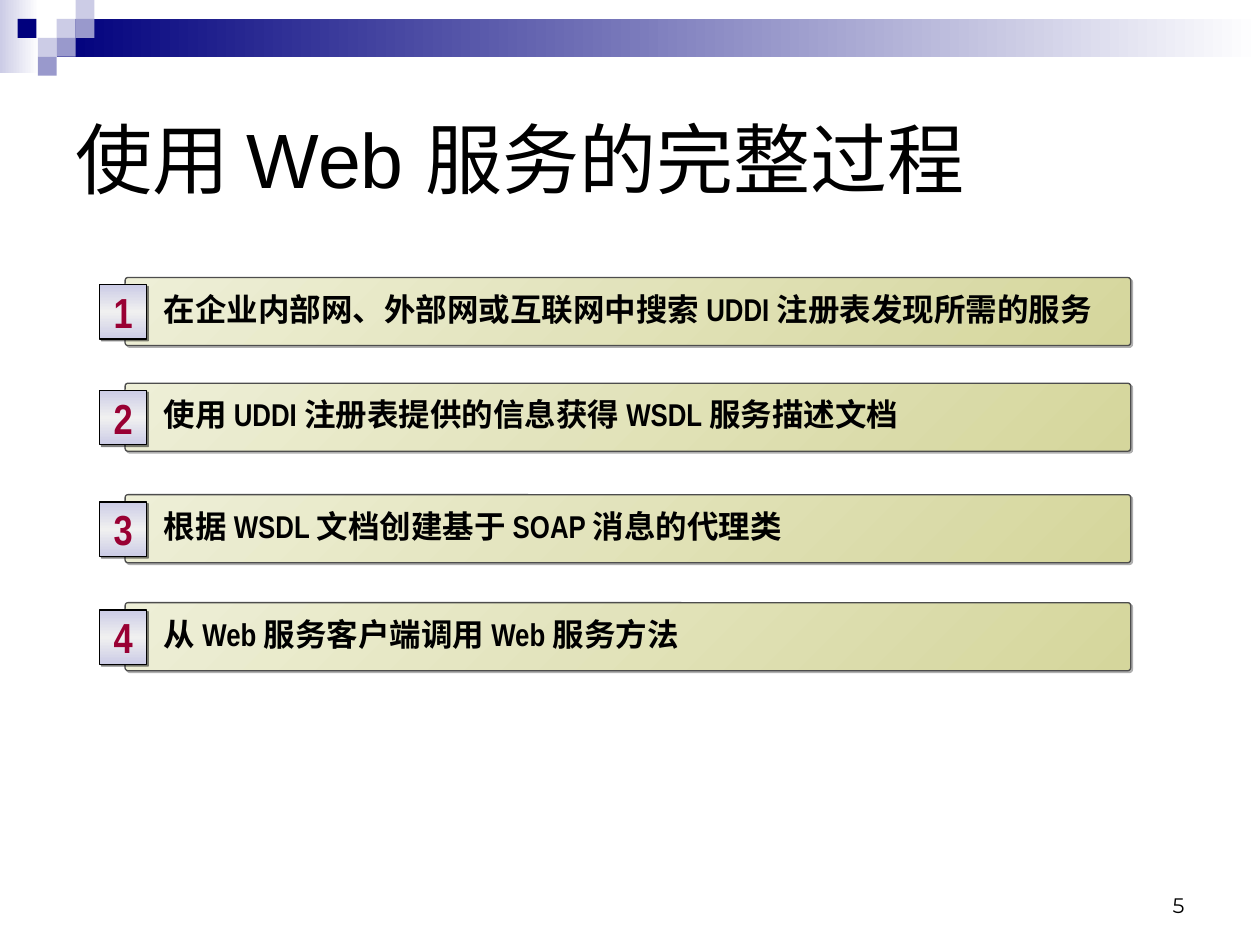
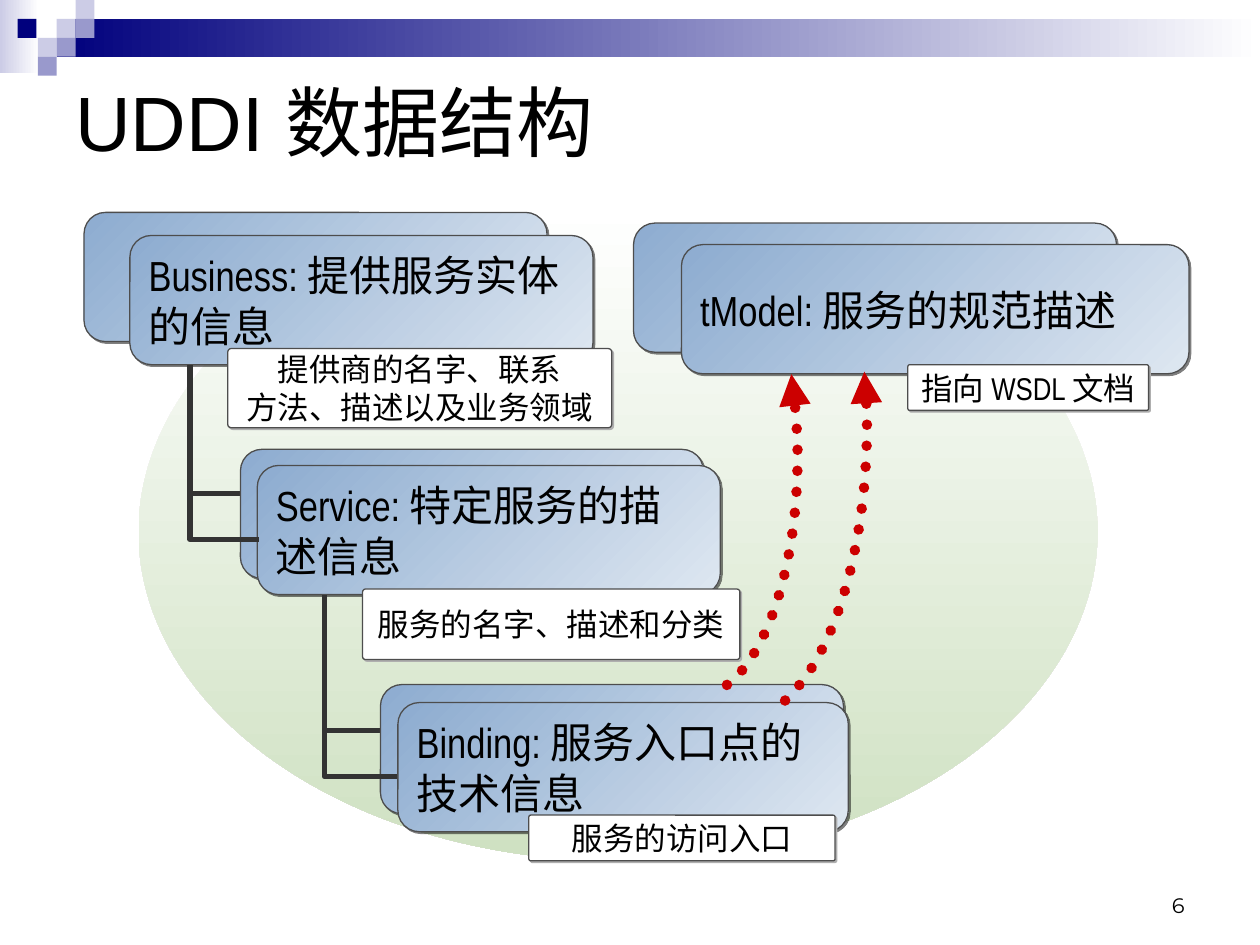
from pptx import Presentation
from pptx.util import Pt
from pptx.dml.color import RGBColor
from pptx.enum.dml import MSO_LINE
from pptx.enum.shapes import MSO_SHAPE, MSO_CONNECTOR
from pptx.enum.text import PP_ALIGN, MSO_ANCHOR
from pptx.oxml.ns import qn
from lxml.etree import SubElement

# Shared look
NAVY, LILAC, MAUVE, WHITE, BLACK = "00007D", "CCCCE6", "9999CC", "FFFFFF", "000000"
EDGE, TREE, RED, WINE = "4D4D4D", "333333", "CC0000", "990033"
SOFT, GREY = (BLACK, 50), ("AFAFAF", 100)  # shadow colour, opacity
NARROW = "Arial Narrow"
UNIT = 10.8  # side of one tile in the corner
TILES = [  # column, row, colour
    (3, 1, LILAC), (4, 0, LILAC), (4, 1, MAUVE), (2, 2, LILAC),
    (0.93, 1, NAVY), (3, 2, MAUVE), (2, 3, MAUVE),
]

# First slide: the steps, with the top of each bar
STEPS = [
    (158.6, "在企业内部网、外部网或互联网中搜索 UDDI 注册表发现所需的服务"),
    (219, "使用 UDDI 注册表提供的信息获得 WSDL 服务描述文档"),
    (282.7, "根据 WSDL 文档创建基于 SOAP 消息的代理类"),
    (344.4, "从 Web 服务客户端调用 Web 服务方法"),
]

# Second slide: left, top, width of the rear and the front card, then text
CARDS = [
    ((362, 127.5, 276), (389.4, 139.8, 290), "tModel: 服务的规范描述"),
    ((217.4, 391.2, 264.6), (227.4, 401.5, 257.4), "Binding: 服务入口点的技术信息"),
    ((137.4, 256.8, 264.6), (147, 266, 264.6), "Service: 特定服务的描述信息"),
    ((48, 121.4, 264.6), (74.2, 134.6, 264.6), "Business: 提供服务实体的信息"),
]
NOTES = [
    ((207.2, 336.6, 215.6, 40.3), "服务的名字、描述和分类"),
    ((130.2, 199.2, 219.4, 45.2), "提供商的名字、联系\n方法、描述以及业务领域"),
    ((302.2, 465.8, 175, 26.1), "服务的访问入口"),
    ((518.8, 208.4, 137.6, 26.1), "指向 WSDL 文档"),
]
STUBS = [(107.3, 282.2, 139.5), (184.3, 417.4, 217.4)]  # left, level, right
ELBOWS = [
    [(108.6, 208.8), (108.6, 308.2), (148, 308.2)],
    [(185.5, 340), (185.5, 443.9), (227, 443.9)],
]
CURVES = [  # two Bezier pieces each: start, then three points per piece
    [(415.4, 391.4), (439.2, 373.7), (455.8, 321.1), (455.8, 261.4),
     (455.8, 245.5), (454.3, 229), (452.2, 213.8)],
    [(448.6, 400.3), (476.6, 375.1), (495.4, 313.2), (495.4, 243.4),
     (495.4, 232.6), (494.6, 222.5), (493.9, 212.4)],
]


def hue(code):
    return RGBColor.from_string(code)


def paint(shape, fill, ang=0):
    """Fill with one colour, or with evenly spaced gradient stops."""
    if isinstance(fill, str):
        shape.fill.solid()
        shape.fill.fore_color.rgb = hue(fill)
        return
    shape.fill.gradient()
    shape.fill.gradient_angle = (360 - ang) % 360
    stops = shape.element.spPr.find(qn("a:gradFill")).find(qn("a:gsLst"))
    for old in list(stops):
        stops.remove(old)
    for i, code in enumerate(fill):
        stop = SubElement(stops, qn("a:gs"), pos=str(100000 * i // (len(fill) - 1)))
        SubElement(stop, qn("a:srgbClr"), val=code)


def stroke(shape, code, width):
    shape.line.color.rgb = hue(code)
    shape.line.width = Pt(width)


def shade(shape, code, solid):
    effect = shape.element.spPr.find(qn("a:effectLst"))
    cast = SubElement(effect, qn("a:outerShdw"), dist=str(Pt(1.4)),
                      dir="2700000", algn="ctr", rotWithShape="0")
    tint = SubElement(cast, qn("a:srgbClr"), val=code)
    SubElement(tint, qn("a:alpha"), val=str(solid * 1000))


def block(slide, kind, box, fill, ang=0, line=None, cast=None, bend=None):
    shape = slide.shapes.add_shape(kind, *map(Pt, box))
    shape.shadow.inherit = False
    paint(shape, fill, ang)
    if line:
        stroke(shape, line, 0.75)
    else:
        shape.line.fill.background()
    if cast:
        shade(shape, *cast)
    if bend:
        shape.adjustments[0] = bend
    return shape


def write(shape, text, size, font=NARROW, code=BLACK, bold=False,
          align=PP_ALIGN.LEFT, anchor=MSO_ANCHOR.MIDDLE, wrap=True, gap=None):
    frame = shape.text_frame
    frame.text = text
    frame.word_wrap = wrap
    frame.vertical_anchor = anchor
    for para in frame.paragraphs:
        para.alignment = align
        if gap:
            para.line_spacing = gap
        for run in para.runs:
            run.font.size, run.font.name, run.font.bold = Pt(size), font, bold
            run.font.color.rgb = hue(code)
    return frame


def trace(slide, points, code, width):
    """Draw an open outline through the points."""
    dots = [(Pt(x), Pt(y)) for x, y in points]
    pen = slide.shapes.build_freeform(*dots[0])
    pen.add_line_segments(dots[1:], close=False)
    shape = pen.convert_to_shape()
    shape.shadow.inherit = False
    shape.fill.background()
    stroke(shape, code, width)
    return shape


def bezier(knots, count=16):
    points = [knots[0]]
    for k in range(0, len(knots) - 1, 3):
        for i in range(1, count + 1):
            t = i / count
            parts = ((1 - t) ** 3, 3 * t * (1 - t) ** 2, 3 * t * t * (1 - t), t ** 3)
            points.append(tuple(sum(w * p[axis] for w, p in zip(parts, knots[k:k + 4]))
                                for axis in (0, 1)))
    return points


def start(deck, title, height, number):
    """Add a slide with its band, tiles, page number and title."""
    slide = deck.slides.add_slide(deck.slide_layouts[6])
    rect = MSO_SHAPE.RECTANGLE
    block(slide, rect, (0, 0, 22.3, 41.8), (LILAC, WHITE))
    block(slide, rect, (3 * UNIT, UNIT, 720 - 3 * UNIT, 2 * UNIT), (NAVY, WHITE))
    for col, row, code in TILES:
        block(slide, rect, (col * UNIT, row * UNIT, UNIT, UNIT), code)
    page = slide.shapes.add_textbox(Pt(516), Pt(492), Pt(168), Pt(36))
    write(page, str(number), 12, "Montserrat", align=PP_ALIGN.RIGHT,
          anchor=MSO_ANCHOR.BOTTOM)
    head = slide.shapes.add_textbox(Pt(36), Pt(36), Pt(648), Pt(height))
    write(head, title, 44, "Arial")
    return slide


def steps(deck):
    slide = start(deck, "使用 Web 服务的完整过程", 108, 5)
    for i, (top, text) in enumerate(STEPS, 1):
        bar = block(slide, MSO_SHAPE.ROUNDED_RECTANGLE, (71.5, top, 574.6, 38.9),
                    ("EEEFD7", "D5D69C"), 45, EDGE, GREY, 0.042)
        write(bar, text, 18, bold=True, gap=0.85).margin_left = Pt(21.6)
        badge = block(slide, MSO_SHAPE.RECTANGLE, (57, top + 4.2, 26.8, 31),
                      (LILAC, "F0F0F0", LILAC), 90, BLACK, SOFT)
        write(badge, str(i), 24, code=WINE, bold=True, align=PP_ALIGN.CENTER, wrap=False)


def model(deck):
    slide = start(deck, "UDDI 数据结构", 66.2, 6)
    block(slide, MSO_SHAPE.OVAL, (79.2, 116, 548, 376), (WHITE, "CFE1C2"), 90)
    # Short branches to the rear cards
    for left, level, right in STUBS:
        stub = slide.shapes.add_connector(MSO_CONNECTOR.STRAIGHT, Pt(left), Pt(level),
                                          Pt(right), Pt(level))
        stroke(stub, TREE, 3)
        SubElement(stub._element.spPr, qn("a:effectLst"))
    # Stacked cards
    for rear, front, text in CARDS:
        for box in (rear, front):
            card = block(slide, MSO_SHAPE.ROUNDED_RECTANGLE, (*box, 73.8),
                         ("8DACD0", "DEE7F1"), 45, EDGE, SOFT, 0.167)
        write(card, text, 24)
    # Dotted arrows up to the tModel
    for knots in CURVES:
        arrow = trace(slide, bezier(knots), RED, 6)
        arrow.line.dash_style = MSO_LINE.ROUND_DOT
        pen = arrow.element.spPr.find(qn("a:ln"))
        pen.set("cap", "rnd")
        SubElement(pen, qn("a:round"))
        SubElement(pen, qn("a:tailEnd"), type="triangle")
    # Long branches to the front cards
    for points in ELBOWS:
        trace(slide, points, TREE, 3)
    # Notes
    for box, text in NOTES:
        note = block(slide, MSO_SHAPE.ROUNDED_RECTANGLE, box, WHITE, 0, EDGE, GREY, 0.042)
        write(note, text, 18, align=PP_ALIGN.CENTER, wrap=False)


def main():
    deck = Presentation()
    deck.slide_width, deck.slide_height = Pt(720), Pt(540)
    steps(deck)
    model(deck)
    deck.save("out.pptx")


if __name__ == "__main__":
    main()
